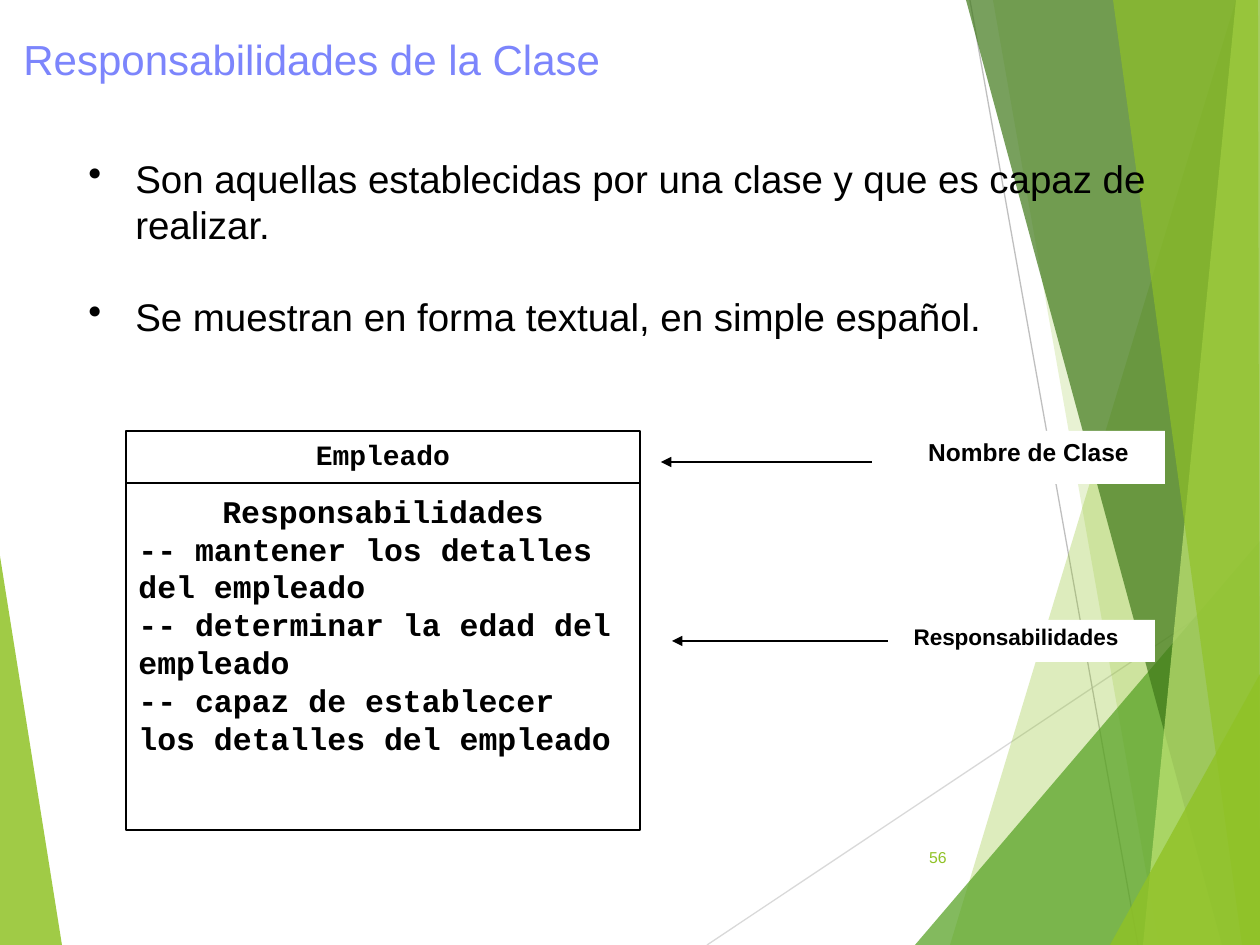
from dataclasses import dataclass

import pptx
import pptx.dml.color
import pptx.enum.shapes
import pptx.enum.text
import pptx.oxml.ns
import pptx.util
from lxml import etree

EMU_PER_PX = 914400 / 126
WIDTH, HEIGHT = 1260, 945
COLORS = {
    "lime": "90C226", "green": "54A021", "forest": "3F7819", "pale": "C0E474",
    "light": "D9D9D9", "gray": "BFBFBF", "title": "7C85FC",
    "black": "000000", "white": "FFFFFF",
}
ALIGN = pptx.enum.text.PP_ALIGN
ANCHOR = pptx.enum.text.MSO_ANCHOR


@dataclass
class Facet:
    points: list[tuple[int, int]]
    color: str
    opacity: int


@dataclass
class Rule:
    start: tuple[int, int]
    end: tuple[int, int]
    color: str = "black"
    arrow: bool = False


@dataclass
class Line:
    text: str
    size: float
    color: str = "black"
    font: str = "Arial"
    bold: bool = False
    align: ALIGN = ALIGN.LEFT
    spacing: float | pptx.util.Length = 1.0
    before: float = 0
    bullet: bool = False


@dataclass
class Block:
    box: tuple[int, int, int, int]
    lines: list[Line]
    anchor: ANCHOR = ANCHOR.TOP
    fill: str | None = None
    outline: str | None = None


def px(value: int) -> int:
    return round(value * EMU_PER_PX)


def rgb(name: str) -> pptx.dml.color.RGBColor:
    return pptx.dml.color.RGBColor.from_string(COLORS[name])


def add_xml(parent, tag: str, **attributes: str):
    return etree.SubElement(parent, pptx.oxml.ns.qn(tag), attributes)


def draw_facet(slide, facet: Facet) -> None:
    builder = slide.shapes.build_freeform(*facet.points[0], scale=EMU_PER_PX)
    builder.add_line_segments(facet.points[1:], close=True)
    shape = builder.convert_to_shape()
    shape.shadow.inherit = False
    shape.line.fill.background()
    shape.fill.solid()
    shape.fill.fore_color.rgb = rgb(facet.color)
    color = shape.fill._xPr.find(".//" + pptx.oxml.ns.qn("a:srgbClr"))
    add_xml(color, "a:alpha", val=str(facet.opacity * 1000))


def draw_rule(slide, rule: Rule) -> None:
    connector = slide.shapes.add_connector(
        pptx.enum.shapes.MSO_CONNECTOR.STRAIGHT,
        *map(px, rule.start + rule.end))
    connector.line.color.rgb = rgb(rule.color)
    connector.line.width = pptx.util.Pt(0.75)
    if rule.arrow:
        add_xml(connector.line._get_or_add_ln(), "a:tailEnd", type="triangle")
    add_xml(connector._element.spPr, "a:effectLst")


def write_line(paragraph, line: Line) -> None:
    paragraph.text = line.text
    paragraph.alignment = line.align
    paragraph.line_spacing = line.spacing
    paragraph.space_before = pptx.util.Pt(line.before)
    if line.bullet:
        properties = paragraph._p.get_or_add_pPr()
        indent = px(47)
        properties.set("marL", str(indent))
        properties.set("indent", str(-indent))
        add_xml(properties, "a:buChar", char="•")
    paragraph.font.name = line.font
    paragraph.font.size = pptx.util.Pt(line.size)
    paragraph.font.bold = line.bold
    paragraph.font.color.rgb = rgb(line.color)


def draw_block(slide, block: Block) -> None:
    bounds = map(px, block.box)
    if block.fill or block.outline:
        shape = slide.shapes.add_shape(
            pptx.enum.shapes.MSO_SHAPE.RECTANGLE, *bounds)
        shape.shadow.inherit = False
        if block.fill:
            shape.fill.solid()
            shape.fill.fore_color.rgb = rgb(block.fill)
        else:
            shape.fill.background()
        if block.outline:
            shape.line.color.rgb = rgb(block.outline)
            shape.line.width = pptx.util.Pt(0.75)
        else:
            shape.line.fill.background()
    else:
        shape = slide.shapes.add_textbox(*bounds)
    frame = shape.text_frame
    frame.word_wrap = True
    frame.vertical_anchor = block.anchor
    for index, line in enumerate(block.lines):
        paragraph = frame.add_paragraph() if index else frame.paragraphs[0]
        write_line(paragraph, line)


def code(text: str, size: int = 18, **options) -> Line:
    return Line(text, size, font="Courier New", bold=True,
                spacing=pptx.util.Pt(1.2 * size), **options)


def point(text: str, before: float = 0) -> Line:
    return Line(text, 22, bullet=True, before=before,
                spacing=pptx.util.Pt(26.3))


def label(box: tuple[int, int, int, int], text: str, size: float,
          spacing: float = 1.0) -> Block:
    return Block(box, [Line(text, size, bold=True, align=ALIGN.CENTER,
                            spacing=spacing)], fill="white")


# Background decoration
LEFT_FACET = Facet([(0, 556), (62, HEIGHT), (0, HEIGHT)], "lime", 85)
BACKGROUND_RULES = [
    Rule((707, HEIGHT), (WIDTH, 576), "light"),
    Rule((970, 0), (1138, HEIGHT), "gray"),
]
RIGHT_FACETS = [
    Facet([(1236, 0), (950, 945), (1260, 945), (1260, 0)], "lime", 30),
    Facet([(993, 0), (1159, 945), (1260, 945), (1260, 0)], "lime", 20),
    Facet([(915, 945), (1260, 541), (1260, 945)], "green", 72),
    Facet([(966, 0), (1222, 945), (1260, 945), (1260, 0)], "forest", 70),
    Facet([(1236, 0), (1143, 945), (1260, 945), (1260, 0)], "pale", 70),
    Facet([(1113, 0), (1242, 945), (1260, 945), (1258, 0)], "lime", 65),
    Facet([(1110, 945), (1260, 674), (1260, 945)], "lime", 80),
]

# Class diagram and its labels
PAGE_NUMBER = Block((888, 833, 71, 50),
                    [Line("56", 9, "lime", align=ALIGN.RIGHT, spacing=0.93)],
                    anchor=ANCHOR.MIDDLE)
CLASS_BOX = Block((126, 431, 514, 399), [
    code("Empleado", 16, align=ALIGN.CENTER),
    code("Responsabilidades", align=ALIGN.CENTER, before=12),
    code("-- mantener los detalles del empleado"),
    code("-- determinar la edad del empleado"),
    code("-- capaz de establecer los detalles del empleado"),
], outline="black")
CLASS_LABELS = [
    label((892, 431, 273, 53), "Nombre de Clase", 14),
    label((877, 620, 278, 42), "Responsabilidades", 12.9, 0.9),
]
DIAGRAM_RULES = [
    Rule((872, 462), (661, 462), arrow=True),
    Rule((888, 641), (672, 641), arrow=True),
    Rule((126, 483), (640, 483)),
]

# Heading and main points
TITLE = Block((11, 11, 1235, 80),
              [Line("Responsabilidades de la Clase", 24, "title", spacing=0.9)],
              anchor=ANCHOR.BOTTOM)
POINTS = Block((76, 149, 1109, 678), [
    point("Son aquellas establecidas por una clase y que es capaz de realizar."),
    point("Se muestran en forma textual, en simple español.", before=26.3),
])


def main() -> None:
    deck = pptx.Presentation()
    deck.slide_width, deck.slide_height = px(WIDTH), px(HEIGHT)
    slide = deck.slides.add_slide(deck.slide_layouts[6])

    draw_facet(slide, LEFT_FACET)
    for rule in BACKGROUND_RULES:
        draw_rule(slide, rule)
    for facet in RIGHT_FACETS:
        draw_facet(slide, facet)
    for block in [PAGE_NUMBER, CLASS_BOX, *CLASS_LABELS]:
        draw_block(slide, block)
    for rule in DIAGRAM_RULES:
        draw_rule(slide, rule)
    for block in [TITLE, POINTS]:
        draw_block(slide, block)
    deck.save("out.pptx")


if __name__ == "__main__":
    main()
